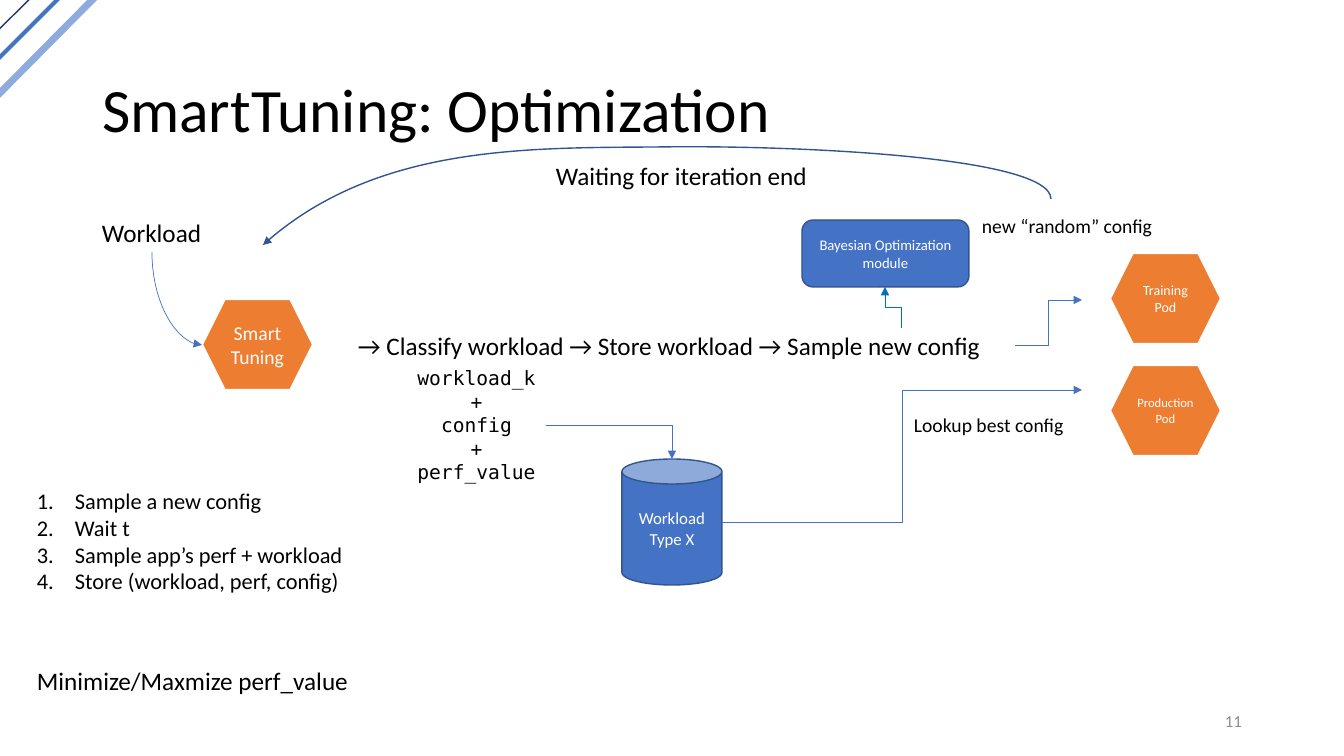
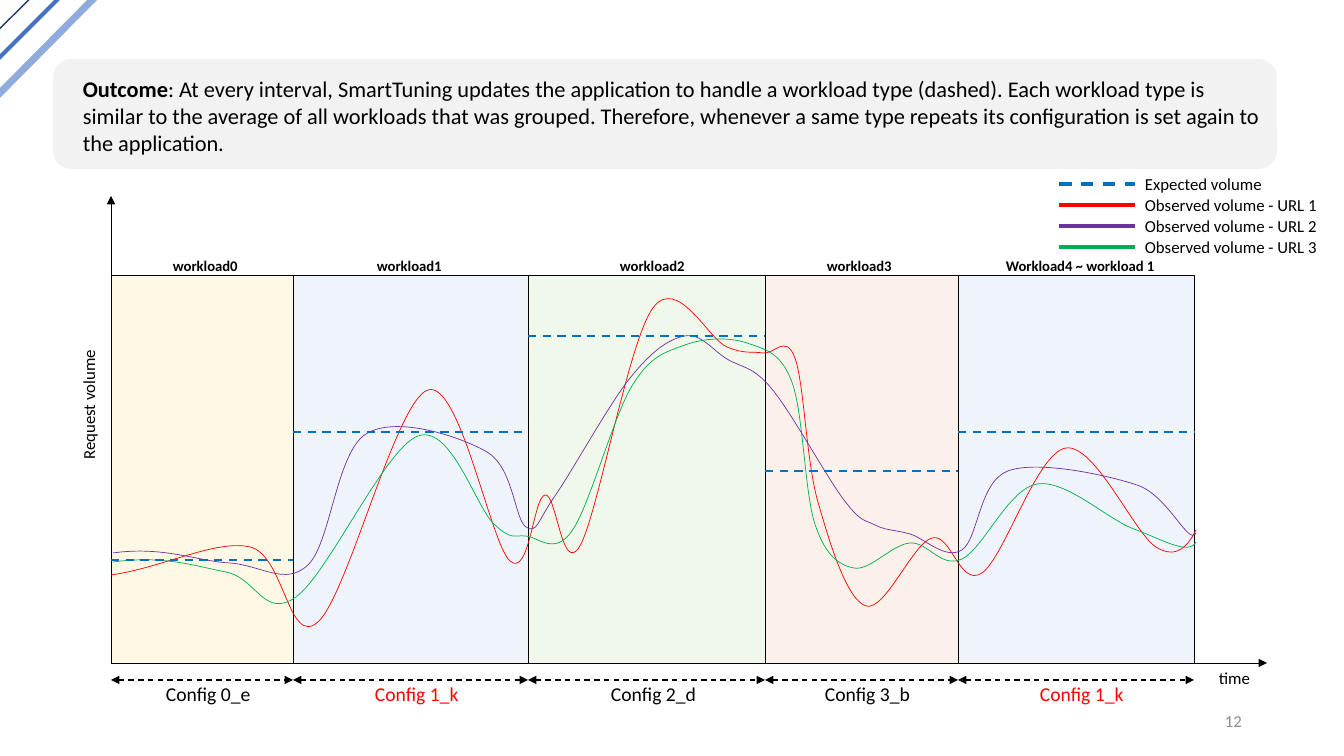
"""Build the two SmartTuning slides: the optimization loop and the workload outcome."""
from typing import NamedTuple

from lxml import etree
from pptx import Presentation
from pptx.dml.color import RGBColor
from pptx.enum.dml import MSO_LINE
from pptx.enum.shapes import MSO_CONNECTOR, MSO_SHAPE
from pptx.enum.text import MSO_ANCHOR, MSO_AUTO_SIZE, PP_ALIGN
from pptx.oxml.ns import qn
from pptx.util import Emu, Pt

EMU_PER_PX = 914400 / 100.8
SLIDE_W, SLIDE_H = 1344, 756
TITLE_ONLY, BLANK = 5, 6

BLACK = RGBColor(0x00, 0x00, 0x00)
WHITE = RGBColor(0xFF, 0xFF, 0xFF)
GRAY = RGBColor(0x8C, 0x8C, 0x8C)
PALE_GRAY = RGBColor(0xF2, 0xF2, 0xF2)
NAVY = RGBColor(0x20, 0x38, 0x64)
BLUE = RGBColor(0x44, 0x72, 0xC4)
LIGHT_BLUE = RGBColor(0x8F, 0xAA, 0xDC)
EDGE_BLUE = RGBColor(0x32, 0x54, 0x91)
BRIGHT_BLUE = RGBColor(0x00, 0x70, 0xC0)
ORANGE = RGBColor(0xED, 0x7D, 0x31)
RED = RGBColor(0xFF, 0x00, 0x00)
GREEN = RGBColor(0x00, 0xB0, 0x50)
PURPLE = RGBColor(0x70, 0x30, 0xA0)
PALE_YELLOW = RGBColor(0xFE, 0xF2, 0xCC)
PALE_BLUE = RGBColor(0xDE, 0xEB, 0xF7)
PALE_GREEN = RGBColor(0xE2, 0xF0, 0xD9)
PALE_ORANGE = RGBColor(0xFB, 0xE5, 0xD6)

FONT, MONO = "Calibri", "DejaVu Sans Mono"
LEFT, CENTER, RIGHT = PP_ALIGN.LEFT, PP_ALIGN.CENTER, PP_ALIGN.RIGHT
TOP, MIDDLE = MSO_ANCHOR.TOP, MSO_ANCHOR.MIDDLE
GROW, FIXED = MSO_AUTO_SIZE.SHAPE_TO_FIT_TEXT, MSO_AUTO_SIZE.NONE
STRAIGHT, ELBOW, CURVE = MSO_CONNECTOR.STRAIGHT, MSO_CONNECTOR.ELBOW, MSO_CONNECTOR.CURVE
RECT, ROUNDED = MSO_SHAPE.RECTANGLE, MSO_SHAPE.ROUNDED_RECTANGLE
HEXAGON, CAN = MSO_SHAPE.HEXAGON, MSO_SHAPE.CAN
DASH = MSO_LINE.DASH


class Point(NamedTuple):
    """A place on the slide in px."""
    x: float
    y: float


class Box(NamedTuple):
    """Left, top, width and height in px."""
    x: int
    y: int
    w: int
    h: int


class Stripe(NamedTuple):
    """One diagonal line of the corner decoration."""
    begin: Point
    end: Point
    color: RGBColor
    width: float


class Pod(NamedTuple):
    """A hexagon with a short label."""
    box: Box
    text: str
    size: float


class Phase(NamedTuple):
    """One interval of the workload timeline."""
    left: int
    right: int
    fill: RGBColor
    expected: int
    workload: str
    workload_box: Box
    config: str
    config_box: Box
    config_color: RGBColor


class Observed(NamedTuple):
    """The measured volume of one URL."""
    name: str
    color: RGBColor
    anchors: list[tuple[int, int]]


STRIPES = [
    Stripe(Point(-25, 53), Point(52, -23), NAVY, 1),
    Stripe(Point(-16, 73), Point(66, -9), BLUE, 3),
    Stripe(Point(-11, 104), Point(104, -12), LIGHT_BLUE, 5),
]
PODS = [
    Pod(Box(202, 299, 111, 91), "Smart\nTuning", 14),
    Pod(Box(1110, 253, 111, 91), "Training\nPod", 10),
    Pod(Box(1110, 365, 111, 91), "Production\nPod", 9),
]
PHASES = [
    Phase(111, 293, PALE_YELLOW, 560, "workload0", Box(163, 252, 88, 29),
          "Config 0_e", Box(156, 677, 110, 34), BLACK),
    Phase(293, 528, PALE_BLUE, 432, "workload1", Box(367, 252, 88, 29),
          "Config 1_k", Box(365, 677, 105, 34), RED),
    Phase(528, 765, PALE_GREEN, 336, "workload2", Box(610, 252, 88, 29),
          "Config 2_d", Box(601, 677, 111, 34), BLACK),
    Phase(765, 958, PALE_ORANGE, 471, "workload3", Box(817, 252, 88, 29),
          "Config 3_b", Box(815, 677, 107, 34), BLACK),
    Phase(958, 1194, PALE_BLUE, 432, "Workload4 ~ workload 1", Box(996, 252, 172, 29),
          "Config 1_k", Box(1030, 677, 110, 34), RED),
]
OBSERVED = [
    Observed("URL 1", RED, [
        (111, 575), (250, 547), (318, 622), (428, 390), (510, 561), (545, 495),
        (580, 546), (653, 308), (727, 347), (763, 353), (795, 358), (818, 502),
        (866, 606), (932, 538), (982, 573), (1066, 448), (1156, 547), (1196, 530)]),
    Observed("URL 2", PURPLE, [
        (113, 553), (229, 563), (308, 565), (366, 434), (487, 452), (526, 527),
        (555, 496), (631, 377), (685, 336), (727, 359), (772, 389), (844, 500),
        (875, 525), (910, 534), (962, 550), (1008, 471), (1137, 485), (1196, 533)]),
    Observed("URL 3", GREEN, [
        (113, 562), (226, 572), (296, 597), (418, 436), (494, 524), (526, 536),
        (572, 531), (632, 386), (685, 345), (747, 343), (792, 382), (815, 524),
        (854, 568), (910, 543), (962, 559), (1037, 484), (1134, 529), (1196, 542)]),
]
START_HANDLE, END_HANDLE = Point(51, -7), Point(-7, 14)
BAND_TOP, AXIS_Y, SPAN_Y = 275, 663, 680
LEGEND_Y, LEGEND_STEP = 184, 21


def px(value: float) -> Emu:
    """Turn px into EMU."""
    return Emu(round(value * EMU_PER_PX))


def write(tf, text: str, *, size: float, color: RGBColor = BLACK, align=LEFT, anchor=TOP,
          font: str = FONT, bold: bool = False, lead: str = "", wrap: bool = True,
          auto_size=FIXED) -> None:
    """Fill a text frame, one paragraph a line, with an optional bold lead."""
    tf.word_wrap, tf.auto_size, tf.vertical_anchor = wrap, auto_size, anchor
    for i, line in enumerate(text.split("\n")):
        p = tf.add_paragraph() if i else tf.paragraphs[0]
        p.alignment = align
        for part, strong in ((lead, True), (line, bold)):
            if part:
                r = p.add_run()
                r.text = part
                r.font.name, r.font.size, r.font.bold = font, Pt(size), strong
                r.font.color.rgb = color


def add_text(s, box: Box, text: str, *, wrap: bool = False, auto_size=GROW, **fmt):
    """Add a text box that grows with its text."""
    sp = s.shapes.add_textbox(*map(px, box))
    write(sp.text_frame, text, wrap=wrap, auto_size=auto_size, **fmt)
    return sp


def add_box(s, kind, box: Box, fill: RGBColor, line: RGBColor | None = None,
            width: float = 1, alpha: int = 100):
    """Add a filled preset shape without a shadow."""
    sp = s.shapes.add_shape(kind, *map(px, box))
    sp.shadow.inherit = False
    sp.fill.solid()
    sp.fill.fore_color.rgb = fill
    if alpha < 100:
        color = sp._element.spPr.find(f"{qn('a:solidFill')}/{qn('a:srgbClr')}")
        etree.SubElement(color, qn("a:alpha"), val=str(alpha * 1000))
    if line is None:
        sp.line.fill.background()
    else:
        sp.line.color.rgb, sp.line.width = line, Pt(width)
    return sp


def style_line(sp, color: RGBColor, width: float, dash=None,
               head: bool = False, tail: bool = False) -> None:
    """Set colour, width, dash and arrowheads of a line."""
    sp.line.color.rgb, sp.line.width = color, Pt(width)
    if dash is not None:
        sp.line.dash_style = dash
    ln = sp._element.spPr.find(qn("a:ln"))
    for tag, wanted in (("a:headEnd", head), ("a:tailEnd", tail)):
        if wanted:
            etree.SubElement(ln, qn(tag), type="triangle")


def add_line(s, begin: Point, end: Point, color: RGBColor, width: float, kind=STRAIGHT, **fmt):
    """Add a connector without a shadow."""
    c = s.shapes.add_connector(kind, *map(px, (*begin, *end)))
    style_line(c, color, width, **fmt)
    etree.SubElement(c._element.spPr, qn("a:effectLst"))
    return c


def add_bend(s, begin: Point, end: Point, color: RGBColor = BLUE, kind=ELBOW, preset: str = "",
             upright: bool = False, start=None, stop=None) -> None:
    """Add a bent arrow, leaving vertically if upright, glued to (shape, site) pairs."""
    if upright:
        mid = Point((begin.x + end.x) / 2, (begin.y + end.y) / 2)
        dx, dy = (end.x - begin.x) / 2, (end.y - begin.y) / 2
        begin, end = Point(mid.x + dy, mid.y - dx), Point(mid.x - dy, mid.y + dx)
    c = add_line(s, begin, end, color, 0.5, kind, tail=True)
    spPr = c._element.spPr
    if upright:
        spPr.find(qn("a:xfrm")).set("rot", "16200000")
    if preset:
        spPr.find(qn("a:prstGeom")).set("prst", preset)
    glue = c._element.find(f"{qn('p:nvCxnSpPr')}/{qn('p:cNvCxnSpPr')}")
    for tag, joint in (("a:stCxn", start), ("a:endCxn", stop)):
        if joint:
            etree.SubElement(glue, qn(tag), id=str(joint[0].shape_id), idx=str(joint[1]))


def add_curve(s, points: list[Point], color: RGBColor, width: float, **fmt) -> None:
    """Add an open Bézier outline: a start, then three points a segment."""
    start, *rest = [(px(x), px(y)) for x, y in points]
    builder = s.shapes.build_freeform(*start)
    builder.add_line_segments(rest, close=False)
    sp = builder.convert_to_shape()
    sp.shadow.inherit = False
    sp.fill.background()
    style_line(sp, color, width, **fmt)
    path = next(sp._element.iter(qn("a:path")))
    corners = path.findall(qn("a:lnTo"))
    for i in range(0, len(corners), 3):
        cubic = etree.SubElement(path, qn("a:cubicBezTo"))
        for corner in corners[i:i + 3]:
            cubic.append(corner[0])
            path.remove(corner)


def spline(anchors: list[tuple[int, int]]) -> list[Point]:
    """Return Bézier points of a smooth curve through the anchors."""
    pts = [Point(*a) for a in anchors]
    slopes = [Point((c.x - a.x) / 6, (c.y - a.y) / 6) for a, c in zip(pts, pts[2:])]
    slopes = [START_HANDLE, *slopes, Point(-END_HANDLE.x, -END_HANDLE.y)]
    curve = pts[:1]
    for a, b, out, into in zip(pts, pts[1:], slopes, slopes[1:]):
        curve += [Point(a.x + out.x, a.y + out.y), Point(b.x - into.x, b.y - into.y), b]
    return curve


def new_slide(prs, layout: int, number: int):
    """Add a slide with the corner stripes and its number."""
    s = prs.slides.add_slide(prs.slide_layouts[layout])
    for stripe in STRIPES:
        add_line(s, *stripe)
    add_text(s, Box(950, 701, 302, 40), str(number), size=12, color=GRAY,
             align=RIGHT, anchor=MIDDLE, wrap=True, auto_size=FIXED)
    return s


def build_optimization(prs) -> None:
    """Draw the optimization loop."""
    s = new_slide(prs, TITLE_ONLY, 11)
    title = s.shapes.title
    title.left, title.top, title.width, title.height = map(px, Box(92, 40, 1159, 146))
    write(title.text_frame, "SmartTuning: Optimization", size=44, anchor=MIDDLE)
    title.text_frame.paragraphs[0].line_spacing = 0.9

    store = add_box(s, CAN, Box(622, 459, 100, 126), BLUE, EDGE_BLUE)
    write(store.text_frame, "Workload\nType X", size=12, color=WHITE, align=CENTER, anchor=MIDDLE)
    module = add_box(s, ROUNDED, Box(802, 220, 167, 67), BLUE, EDGE_BLUE)
    write(module.text_frame, "Bayesian Optimization module", size=10.5, color=WHITE,
          align=CENTER, anchor=MIDDLE)
    hexagons = []
    for pod in PODS:
        sp = add_box(s, HEXAGON, pod.box, ORANGE, WHITE, 1.5)
        write(sp.text_frame, pod.text, size=pod.size, color=WHITE, align=CENTER,
              anchor=MIDDLE, wrap=False)
        hexagons.append(sp)

    add_text(s, Box(27, 660, 335, 40), "Minimize/Maxmize perf_value", size=18)
    workload = add_text(s, Box(92, 212, 121, 40), "Workload", size=18)
    add_text(s, Box(904, 408, 171, 34), "Lookup best config", size=14)
    steps = add_text(s, Box(348, 325, 667, 40),
                     "→ Classify workload → Store workload → Sample new config", size=18)
    record = add_text(s, Box(407, 361, 139, 129), "workload_k\n+\nconfig\n+\nperf_value",
                      size=14, font=MONO, align=CENTER)
    add_text(s, Box(972, 209, 193, 34), "new “random” config", size=14)
    add_text(s, Box(546, 155, 274, 40), "Waiting for iteration end", size=18)
    loop = add_text(s, Box(27, 482, 330, 119), "Sample a new config\nWait t\n"
                    "Sample app’s perf + workload\nStore (workload, perf, config)", size=16)
    for p in loop.text_frame.paragraphs:
        pPr = p._p.get_or_add_pPr()
        pPr.set("marL", str(px(38)))
        pPr.set("indent", str(-px(38)))
        etree.SubElement(pPr, qn("a:buAutoNum"), type="arabicPeriod")

    add_bend(s, Point(152, 252), Point(202, 345), kind=CURVE, preset="curvedConnector2",
             upright=True, start=(workload, 2), stop=(hexagons[0], 3))
    add_bend(s, Point(546, 425), Point(672, 459), preset="bentConnector2",
             start=(record, 3), stop=(store, 1))
    add_bend(s, Point(722, 522), Point(1082, 390), start=(store, 4))
    add_bend(s, Point(1015, 345), Point(1082, 300), start=(steps, 3))
    add_bend(s, Point(901, 328), Point(885, 287), BRIGHT_BLUE, upright=True, stop=(module, 2))
    add_curve(s, [Point(1051, 199), Point(1051, 156), Point(790, 145), Point(658, 147),
                  Point(527, 148), Point(374, 145), Point(263, 245)], EDGE_BLUE, 1, tail=True)


def build_outcome(prs) -> None:
    """Draw the workload timeline with its expected and observed volumes."""
    s = new_slide(prs, BLANK, 12)
    for ph in PHASES:
        add_box(s, RECT, Box(ph.left, BAND_TOP, ph.right - ph.left, AXIS_Y - BAND_TOP),
                ph.fill, BLACK, 0.25, alpha=50)
    add_box(s, ROUNDED, Box(53, 59, 1224, 110), PALE_GRAY)
    add_text(s, Box(73, 70, 1205, 92),
             ": At every interval, SmartTuning updates the application to handle a workload type "
             "(dashed). Each workload type is similar to the average of all workloads that was "
             "grouped. Therefore, whenever a same type repeats its configuration is set again to "
             "the application.", size=16, lead="Outcome", wrap=True)

    origin = Point(PHASES[0].left, AXIS_Y)
    for end in (Point(1267, AXIS_Y), Point(origin.x, 196)):
        add_line(s, origin, end, BLACK, 0.5, tail=True)
    add_text(s, Box(1209, 663, 52, 30), "time", size=12)
    add_text(s, Box(23, 389, 131, 30), "Request volume", size=12).rotation = 270

    for ob in OBSERVED:
        add_curve(s, spline(ob.anchors), ob.color, 0.5)
    for ph in PHASES:
        add_line(s, Point(ph.left, ph.expected), Point(ph.right, ph.expected),
                 BRIGHT_BLUE, 1.5, dash=DASH)
        add_line(s, Point(ph.left, SPAN_Y), Point(ph.right, SPAN_Y), BLACK, 1,
                 dash=DASH, head=True, tail=True)
        add_text(s, ph.workload_box, ph.workload, size=10.5, bold=True)
        add_text(s, ph.config_box, ph.config, size=14, color=ph.config_color)

    legend = [("Expected volume", BRIGHT_BLUE, DASH, 138)]
    legend += [(f"Observed volume - {ob.name}", ob.color, None, 195) for ob in OBSERVED]
    for i, (label, color, dash, width) in enumerate(legend):
        y = LEGEND_Y + i * LEGEND_STEP
        add_line(s, Point(1059, y), Point(1135, y), color, 2.25, dash=dash)
        add_text(s, Box(1135, y - 15, width, 30), label, size=12)


def main() -> None:
    """Build and save the presentation."""
    prs = Presentation()
    prs.slide_width, prs.slide_height = px(SLIDE_W), px(SLIDE_H)
    build_optimization(prs)
    build_outcome(prs)
    prs.save("out.pptx")


if __name__ == "__main__":
    main()
